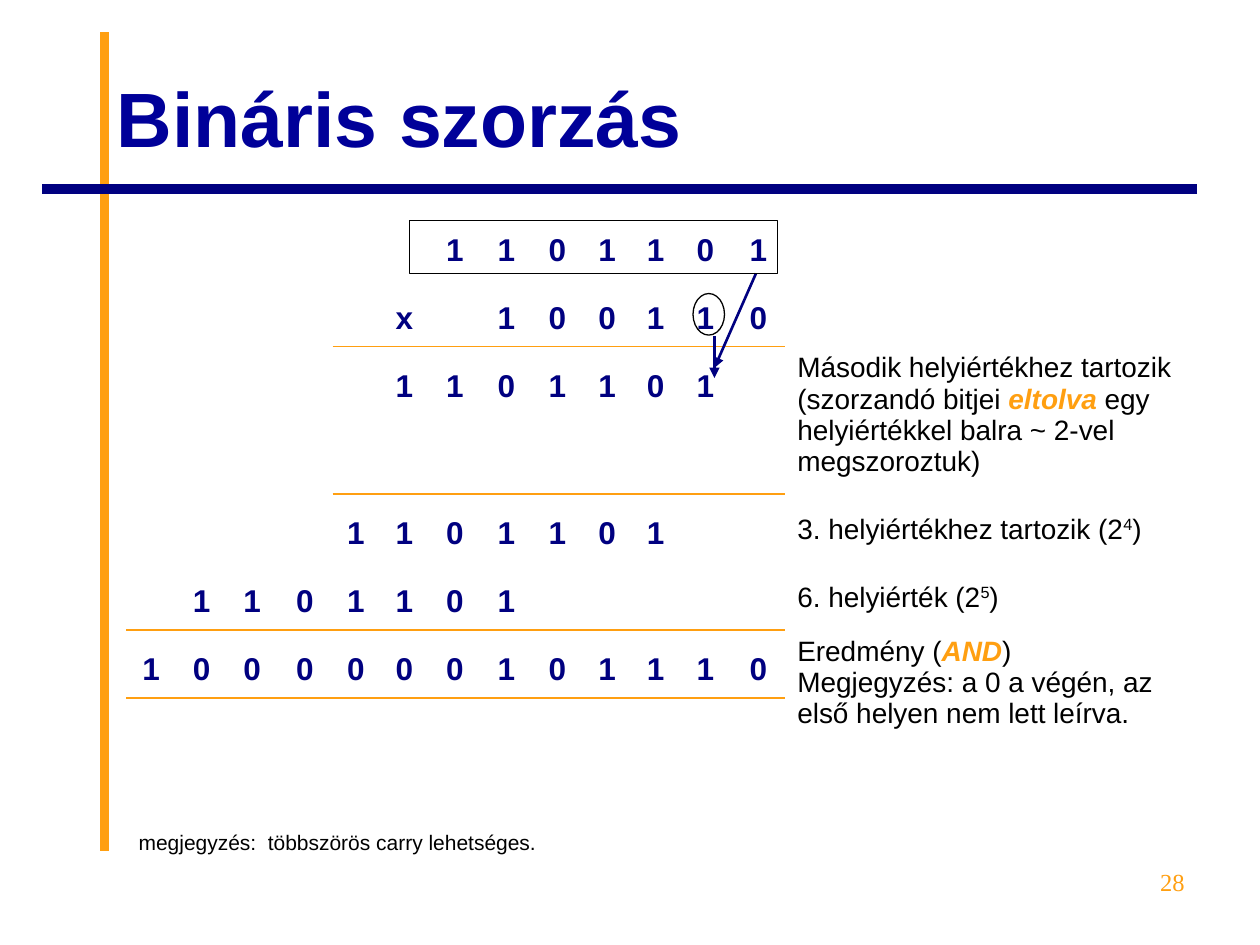
from dataclasses import dataclass

from lxml import etree
from pptx import Presentation
from pptx.dml.color import RGBColor
from pptx.enum.shapes import MSO_CONNECTOR, MSO_SHAPE
from pptx.enum.text import MSO_ANCHOR, PP_ALIGN
from pptx.oxml.ns import qn
from pptx.util import Inches, Pt

COLORS = {
    "orange": "FF9F11",
    "navy": "000080",
    "title": "000099",
    "black": "000000",
}
COLUMN_WIDTHS = [0.4, 0.4, 0.4, 0.44, 0.37, 0.4, 0.4, 0.42, 0.39, 0.4, 0.37, 0.42, 0.42, 3.24]
ROW_HEIGHTS = [0.54, 0.54, 1.17, 0.54, 0.54, 0.54, 0.51, 0.5, 0.5]
NOTE_COLUMN = len(COLUMN_WIDTHS) - 1
FOOTNOTE_ROW = len(ROW_HEIGHTS) - 1
NO_STYLE = "{2D5ABB26-0587-4C30-8999-92F81FD0307C}"


@dataclass
class Piece:
    text: str
    size: float = 16
    color: str = "black"
    bold: bool = False
    italic: bool = False
    font: str = "Arial"
    superscript: bool = False


@dataclass
class Digits:
    row: int
    first_column: int
    symbols: str


@dataclass
class Note:
    row: int
    pieces: list[Piece]
    line_spacing: float = 1.0


@dataclass
class Rule:
    """A line below a table row, from first_column to the last digit."""
    row: int
    first_column: int


@dataclass
class Line:
    start: tuple[float, float]
    end: tuple[float, float]
    color: str
    width: float
    arrow: bool = False


@dataclass
class Outline:
    kind: MSO_SHAPE
    box: tuple[float, float, float, float]


DIGITS = [
    Digits(0, 6, "1101101"),
    Digits(1, 5, "x"),
    Digits(1, 7, "100110"),
    Digits(2, 5, "1101101"),
    Digits(3, 4, "1101101"),
    Digits(4, 1, "1101101"),
    Digits(5, 0, "1000000101110"),
]
NOTES = [
    Note(2, [
        Piece("Második helyiértékhez tartozik\n(szorzandó bitjei "),
        Piece("eltolva ", color="orange", bold=True, italic=True),
        Piece("egy helyiértékkel balra ~ 2-vel megszoroztuk)"),
    ]),
    Note(3, [Piece("3. helyiértékhez tartozik (2"), Piece("4", superscript=True), Piece(")")], 1.45),
    Note(4, [Piece("6. helyiérték (2"), Piece("5", superscript=True), Piece(")")], 1.45),
    Note(5, [
        Piece("Eredmény ("),
        Piece("AND", color="orange", bold=True, italic=True),
        Piece(")\nMegjegyzés: a 0 a végén, az első helyen nem lett leírva."),
    ]),
]
RULES = [Rule(1, 4), Rule(4, 0)]
FRAME_LINES = [
    Line((0.83, 6.75), (0.83, 0.25), "orange", 5.5),
    Line((9.5, 1.5), (0.33, 1.5), "navy", 5.5),
]
ARROWS = [
    Line((6, 2.17), (5.67, 2.92), "navy", 1.5, arrow=True),
    Line((5.67, 2.67), (5.67, 3), "navy", 1.5, arrow=True),
]
OUTLINES = [
    Outline(MSO_SHAPE.OVAL, (5.5, 2.33, 0.25, 0.33)),
    Outline(MSO_SHAPE.RECTANGLE, (3.25, 1.75, 2.92, 0.42)),
]


def rgb(name: str) -> RGBColor:
    return RGBColor.from_string(COLORS[name])


def add_pieces(paragraph, pieces: list[Piece]) -> None:
    for piece in pieces:
        for index, part in enumerate(piece.text.split("\n")):
            if index:
                paragraph.add_line_break()
            run = paragraph.add_run()
            run.text = part
            run.font.size = Pt(piece.size)
            run.font.name = piece.font
            run.font.bold = piece.bold
            run.font.italic = piece.italic
            run.font.color.rgb = rgb(piece.color)
            if piece.superscript:
                run._r.get_or_add_rPr().set("baseline", "30000")


def add_text(slide, box, piece: Piece, align=PP_ALIGN.LEFT, anchor=MSO_ANCHOR.TOP) -> None:
    frame = slide.shapes.add_textbox(*map(Inches, box)).text_frame
    frame.word_wrap = True
    frame.vertical_anchor = anchor
    frame.paragraphs[0].alignment = align
    add_pieces(frame.paragraphs[0], [piece])


def add_line(slide, line: Line) -> None:
    connector = slide.shapes.add_connector(
        MSO_CONNECTOR.STRAIGHT, *map(Inches, line.start + line.end))
    connector.line.color.rgb = rgb(line.color)
    connector.line.width = Pt(line.width)
    if line.arrow:
        etree.SubElement(connector.line._get_or_add_ln(), qn("a:tailEnd"), type="triangle")
    etree.SubElement(connector._element.spPr, qn("a:effectLst"))


def add_outline(slide, outline: Outline) -> None:
    shape = slide.shapes.add_shape(outline.kind, *map(Inches, outline.box))
    shape.shadow.inherit = False
    shape.fill.background()
    shape.line.color.rgb = rgb("black")
    shape.line.width = Pt(0.75)


def add_border(cell, side: str) -> None:
    """Draw one cell border; side is the DrawingML tag, lnT or lnB."""
    border = etree.Element(qn(f"a:{side}"), w=str(Pt(1.08)))
    fill = etree.SubElement(border, qn("a:solidFill"))
    etree.SubElement(fill, qn("a:srgbClr"), val=COLORS["orange"])
    cell._tc.get_or_add_tcPr().insert(0, border)


def fill_cell(cell, pieces: list[Piece], space_before: float, line_spacing: float = 1.0,
              align=PP_ALIGN.LEFT) -> None:
    paragraph = cell.text_frame.paragraphs[0]
    paragraph.alignment = align
    paragraph.line_spacing = line_spacing
    paragraph.space_before = Pt(space_before)
    add_pieces(paragraph, pieces)


def add_multiplication(slide) -> None:
    frame = slide.shapes.add_table(
        len(ROW_HEIGHTS), len(COLUMN_WIDTHS), Inches(1), Inches(1.67), Inches(8.5), Inches(5.37))
    table = frame.table
    table.first_row = table.horz_banding = False
    table._tbl.tblPr.find(qn("a:tableStyleId")).text = NO_STYLE
    for column, width in zip(table.columns, COLUMN_WIDTHS):
        column.width = Inches(width)
    for row, height in zip(table.rows, ROW_HEIGHTS):
        row.height = Inches(height)
    for cell in table.iter_cells():
        cell.fill.background()
    table.cell(5, NOTE_COLUMN).merge(table.cell(7, NOTE_COLUMN))
    table.cell(FOOTNOTE_ROW, 0).merge(table.cell(FOOTNOTE_ROW, NOTE_COLUMN))

    for digits in DIGITS:
        for column, symbol in enumerate(digits.symbols, digits.first_column):
            fill_cell(table.cell(digits.row, column), [Piece(symbol, 18, "navy", bold=True)],
                      4.5, 1.45, PP_ALIGN.CENTER)
    for note in NOTES:
        fill_cell(table.cell(note.row, NOTE_COLUMN), note.pieces, 4, note.line_spacing)
    fill_cell(table.cell(FOOTNOTE_ROW, 0),
              [Piece("megjegyzés:  többszörös carry lehetséges.", 12)], 3)
    for rule in RULES:
        for column in range(rule.first_column, NOTE_COLUMN):
            add_border(table.cell(rule.row, column), "lnB")
            add_border(table.cell(rule.row + 1, column), "lnT")


def main() -> None:
    presentation = Presentation()
    presentation.slide_width, presentation.slide_height = Inches(10), Inches(7.5)
    slide = presentation.slides.add_slide(presentation.slide_layouts[6])
    for line in FRAME_LINES:
        add_line(slide, line)
    add_text(slide, (0.83, 0.3, 8.67, 1.25), Piece("Bináris szorzás", 44, "title", bold=True),
             anchor=MSO_ANCHOR.MIDDLE)
    add_multiplication(slide)
    for arrow in ARROWS:
        add_line(slide, arrow)
    for outline in OUTLINES:
        add_outline(slide, outline)
    add_text(slide, (7.17, 6.83, 2.33, 0.52), Piece("28", 14, "orange", font="Times New Roman"),
             align=PP_ALIGN.RIGHT)
    presentation.save("out.pptx")


if __name__ == "__main__":
    main()
